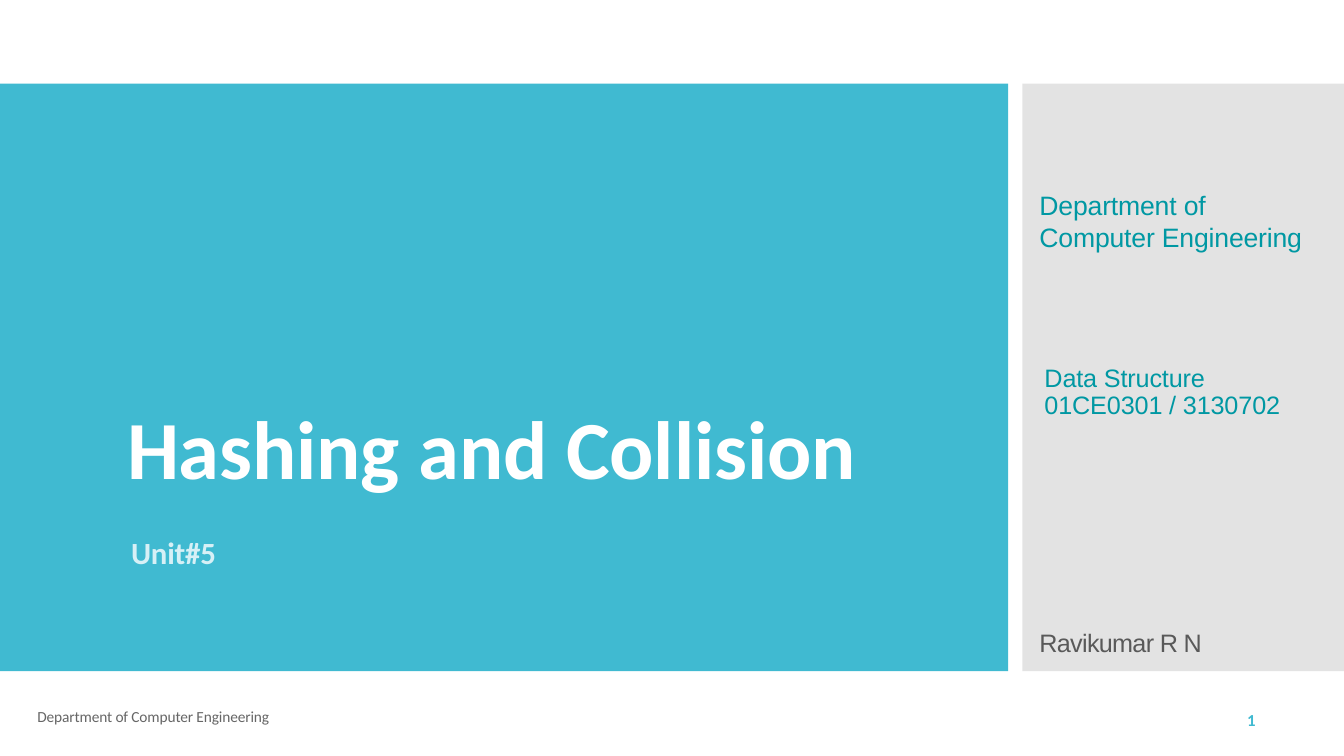
"""Build the title slide for the Hashing and Collision unit."""
import pptx
import pptx.dml.color
import pptx.enum.shapes
import pptx.enum.text
import pptx.oxml.ns
import pptx.util
from lxml import etree

Inches = pptx.util.Inches
Pt = pptx.util.Pt


def color(value):
    return pptx.dml.color.RGBColor.from_string(value)


def write(shape, box, lines, font, size, hue, bold=False, spacing=None, tracking=0):
    shape.left, shape.top, shape.width, shape.height = [Inches(length) for length in box]
    frame = shape.text_frame
    frame.margin_left = frame.margin_right = frame.margin_top = frame.margin_bottom = 0
    frame.word_wrap = True
    frame.auto_size = pptx.enum.text.MSO_AUTO_SIZE.NONE
    frame.vertical_anchor = pptx.enum.text.MSO_ANCHOR.TOP
    paragraph = frame.paragraphs[0]
    paragraph.alignment = pptx.enum.text.PP_ALIGN.LEFT
    paragraph.space_before = Pt(0)
    if spacing:
        paragraph.line_spacing = Pt(spacing)
    for index, line in enumerate(lines):
        if index:
            paragraph.add_line_break()
        run = paragraph.add_run()
        run.text = line
        run.font.name = font
        run.font.size = Pt(size)
        run.font.bold = bold
        run.font.color.rgb = color(hue)
        run.font._element.set("spc", str(tracking))


presentation = pptx.Presentation()
presentation.slide_width = Inches(13.33)
presentation.slide_height = Inches(7.5)
slide = presentation.slides.add_slide(presentation.slide_layouts[0])

for left, width, hue, opacity in [(0, 10, "40BAD1", 100), (10.14, 3.19, "C8C8C8", 50)]:
    panel = slide.shapes.add_shape(
        pptx.enum.shapes.MSO_SHAPE.RECTANGLE,
        Inches(left), Inches(0.83), Inches(width), Inches(5.83))
    panel.shadow.inherit = False
    panel.fill.solid()
    panel.fill.fore_color.rgb = color(hue)
    panel.line.fill.background()
    if opacity < 100:
        fill_color = panel._element.spPr.find(".//" + pptx.oxml.ns.qn("a:srgbClr"))
        alpha = etree.SubElement(fill_color, pptx.oxml.ns.qn("a:alpha"))
        alpha.set("val", str(opacity * 1000))
    slide.shapes._spTree.insert(2, panel._element)

write(slide.shapes.title, (1.26, 3.94, 7.57, 1), ["Hashing and Collision"],
      "Calibri", 59, "FFFFFF", bold=True, tracking=-10)
write(slide.placeholders[1], (1.3, 5.29, 7.53, 0.37), ["Unit#5"],
      "Calibri", 22, "D7F0F6", bold=True, tracking=-10)

labels = [
    ((10.31, 1.88, 2.8, 0.62), ["Department of", "Computer Engineering"],
     "Arial", 19, "0098A3", False, 22.5, -10),
    ((10.36, 3.62, 2.6, 0.55), ["Data Structure", "01CE0301 / 3130702"],
     "Arial", 18, "0098A3", False, 19.5, -10),
    ((10.31, 6.22, 1.8, 0.32), ["Ravikumar R N"],
     "Arial", 18, "595959", False, None, -50),
    ((0.37, 7.04, 2.6, 0.18), ["Department of Computer Engineering"],
     "Calibri", 11, "666666", False, 11.4, -10),
    ((12.37, 7.07, 0.22, 0.19), ["1"],
     "Calibri", 12, "40BAD1", True, 12.3, 0),
]
for box, *text_format in labels:
    label = slide.shapes.add_textbox(0, 0, 0, 0)
    write(label, box, *text_format)

presentation.save("out.pptx")
